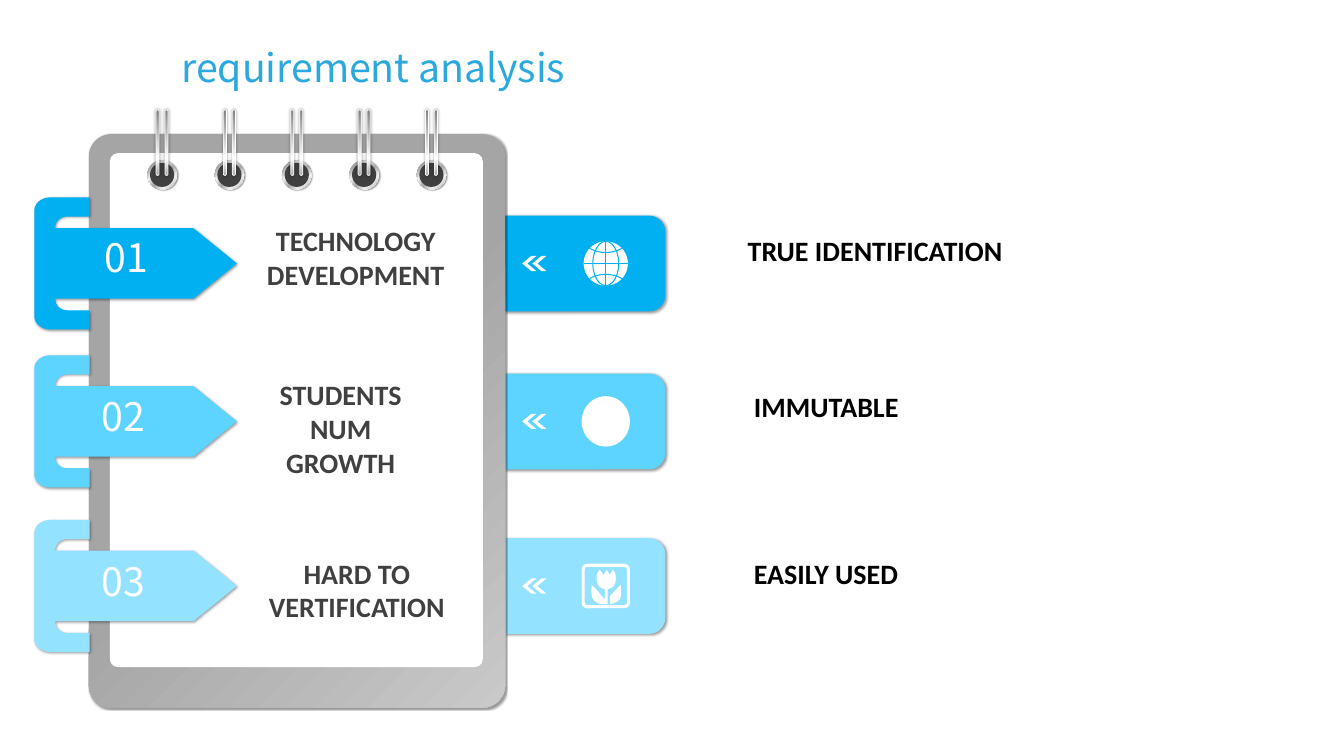
from dataclasses import dataclass
from typing import Callable, Optional

from lxml.etree import SubElement
from pptx import Presentation
from pptx.dml.color import RGBColor
from pptx.enum.shapes import MSO_CONNECTOR, MSO_SHAPE
from pptx.enum.text import PP_ALIGN
from pptx.oxml import parse_xml
from pptx.oxml.ns import nsdecls, qn
from pptx.util import Pt


@dataclass(frozen=True)
class Theme:
    title: str = "2BA8DD"
    ink: str = "000000"
    gray: str = "404040"
    white: str = "FFFFFF"
    tints: tuple = ("00B0F0", "5DD4FF", "93E2FF")
    board: tuple = ((0, "C9C9C9"), (50, "A5A5A5"), (100, "A5A5A5"))
    ring: tuple = ((0, "FFFFFF"), (17, "A6A6A6"), (35, "F2F2F2"),
                   (55, "A6A6A6"), (75, "F2F2F2"), (100, "A6A6A6"))
    rod: tuple = ((0, "808080"), (23, "A6A6A6"), (52, "D9D9D9"),
                  (74, "FFFFFF"), (100, "A6A6A6"))
    sans: str = "Noto Sans CJK SC"
    body: str = "Calibri"
    large: int = 28
    small: int = 20


@dataclass(frozen=True)
class Box:
    left: float
    top: float
    width: float
    height: float


@dataclass(frozen=True)
class Shade:
    blur: float
    gap: float
    angle: int = 45
    color: str = "000000"


@dataclass(frozen=True)
class Row:
    mid: float
    tint: str
    mark: str
    spot: Box
    task: str
    area: Box
    goal: str
    place: Box
    icon: Callable


LOOK = Theme()
SOFT = Shade(2, 1)
THIN = Shade(1, 1)
CLIP = [(36, -47.2), (64.1, -47.2), (64.1, -33.5), (48.2, -33.5),
        (43.2, -33.5, 39.6, -29.9, 39.6, -26.3), (39.6, -25.2),
        (138.2, -25.2), (169.2, 0), (138.2, 25.2), (39.6, 25.2),
        (39.6, 26.3), (39.6, 29.9, 43.2, 33.5, 48.2, 33.5),
        (64.1, 33.5), (64.1, 47.2), (36, 47.2),
        (29.5, 47.2, 24.5, 42.8, 24.5, 37.8), (24.5, -37.8),
        (24.5, -42.8, 29.5, -47.2, 36, -47.2)]
TULIP = [(0.7, -11.5), (-1.4, -7.9), (-4.3, -11.5),
         (-5.8, -10.1, -6.5, -8.6, -6.5, -5.8),
         (-6.5, -1.4, -5, 1.4, -0.7, 2.2), (-0.7, 9.4),
         (-4.3, 5.8, -6.5, 2.2, -10.1, -0.7),
         (-10.1, 2.2, -10.8, 7.2, -8.6, 10.1),
         (-6.5, 13, -2.2, 13, 1.4, 13), (1.4, 2.2),
         (5.8, 1.4, 7.2, -1.4, 7.2, -5.8),
         (7.2, -8.6, 6.5, -10.1, 5, -11.5), (2.9, -7.9)]
LEAF = [(10.8, -0.7), (7.9, 1.4, 5.8, 4.3, 2.9, 7.2), (2.9, 13),
        (6.5, 12.2, 7.9, 11.5, 10.1, 9.4),
        (11.5, 6.5, 10.8, 2.2, 10.8, -0.7)]

deck = Presentation()
deck.slide_width, deck.slide_height = Pt(960), Pt(540)
slide = deck.slides.add_slide(deck.slide_layouts[6])
shapes = slide.shapes


def dress(shape, fill: Optional[str], line: Optional[str] = None,
          size: float = 0, shade: Optional[Shade] = None):
    if fill:
        shape.fill.solid()
        shape.fill.fore_color.rgb = RGBColor.from_string(fill)
    else:
        shape.fill.background()
    if line:
        shape.line.color.rgb = RGBColor.from_string(line)
        shape.line.width = Pt(size)
    else:
        shape.line.fill.background()
    shape.shadow.inherit = False
    if shade:
        list_el = shape._element.spPr.find(qn("a:effectLst"))
        cast = SubElement(list_el, qn("a:outerShdw"), blurRad=str(Pt(shade.blur)),
                          dist=str(Pt(shade.gap)), dir=str(shade.angle * 60000),
                          algn="tl", rotWithShape="0")
        tone = SubElement(cast, qn("a:srgbClr"), val=shade.color)
        SubElement(tone, qn("a:alpha"), val="40000")
    return shape


def blend(shape, stops: tuple, angle: Optional[int] = None) -> None:
    steps = "".join(f'<a:gs pos="{at * 1000}"><a:srgbClr val="{tone}"/></a:gs>'
                    for at, tone in stops)
    if angle is None:
        way = '<a:path path="circle"><a:fillToRect l="100000" t="100000"/></a:path>'
    else:
        way = f'<a:lin ang="{angle * 60000}" scaled="0"/>'
    props = shape._element.spPr
    fill = parse_xml(f'<a:gradFill {nsdecls("a")} rotWithShape="1">'
                     f'<a:gsLst>{steps}</a:gsLst>{way}</a:gradFill>')
    props.replace(props.find(qn("a:solidFill")), fill)


def form(kind: MSO_SHAPE, box: Box, fill: Optional[str], bend: Optional[float] = None,
         **style):
    shape = shapes.add_shape(kind, Pt(box.left), Pt(box.top), Pt(box.width), Pt(box.height))
    if bend is not None:
        shape.adjustments[0] = bend
    return dress(shape, fill, **style)


def disc(x: float, y: float, wide: float, high: float, fill: Optional[str], **style):
    return form(MSO_SHAPE.OVAL, Box(x - wide / 2, y - high / 2, wide, high), fill, **style)


def trace(steps: list, x: float, y: float, fill: Optional[str], **style):
    dots = []
    for step in steps:
        if len(step) == 2:
            dots.append(step)
            continue
        curve = [dots[-1], step[:2], step[2:4], step[4:]]
        for part in range(1, 9):
            t = part / 8
            pull = ((1 - t) ** 3, 3 * t * (1 - t) ** 2, 3 * t * t * (1 - t), t ** 3)
            dots.append(tuple(sum(p * c[k] for p, c in zip(pull, curve)) for k in (0, 1)))
    spots = [(Pt(x + a), Pt(y + b)) for a, b in dots]
    pen = shapes.build_freeform(*spots[0])
    pen.add_line_segments(spots[1:], close=fill is not None)
    return dress(pen.convert_to_shape(), fill, **style)


def write(text: str, box: Box, size: int, font: str, color: str, bold: bool = False,
          center: bool = False, wrap: bool = True) -> None:
    frame = shapes.add_textbox(Pt(box.left), Pt(box.top), Pt(box.width),
                               Pt(box.height)).text_frame
    frame.word_wrap = wrap
    frame.text = text
    para = frame.paragraphs[0]
    para.alignment = PP_ALIGN.CENTER if center else PP_ALIGN.LEFT
    face = para.runs[0].font
    face.size, face.name, face.bold = Pt(size), font, bold
    face.color.rgb = RGBColor.from_string(color)


def globe(x: float, y: float, tint: str) -> None:
    r = 15.8
    disc(x, y, 2 * r, 2 * r, LOOK.white)
    disc(x, y, 18.5, 2 * r, None, line=tint, size=0.75)
    for a, b in ((r, 0), (0, r)):
        rule = shapes.add_connector(MSO_CONNECTOR.STRAIGHT, Pt(x - a), Pt(y - b),
                                    Pt(x + a), Pt(y + b))
        rule.line.color.rgb = RGBColor.from_string(tint)
        rule.line.width = Pt(0.75)
        SubElement(rule._element.spPr, qn("a:effectLst"))
    for side in (-1, 1):
        trace([(-11.5, 10.8 * side), (-5, 6.8 * side, 5, 6.8 * side, 11.5, 10.8 * side)],
              x, y, None, line=tint, size=0.75)


def plain(x: float, y: float, tint: str) -> None:
    disc(x, y, 34.5, 36, LOOK.white)


def flower(x: float, y: float, tint: str) -> None:
    form(MSO_SHAPE.ROUNDED_RECTANGLE, Box(x - 16.2, y - 14.8, 32.4, 29.6), None,
         bend=0.1, line=LOOK.white, size=2.2)
    for steps in (TULIP, LEAF):
        trace(steps, x, y, LOOK.white)


ROWS = [
    Row(188.2, LOOK.tints[0], "01", Box(67.7, 163.4, 56.9, 41),
        "TECHNOLOGY DEVELOPMENT", Box(159.8, 156.2, 188.6, 55.4),
        "TRUE IDENTIFICATION", Box(527, 163.4, 230.4, 31.7), globe),
    Row(301, LOOK.tints[1], "02", Box(65.5, 276.5, 56.9, 41),
        "STUDENTS NUM GROWTH", Box(190.8, 266.4, 105.1, 79.9),
        "IMMUTABLE", Box(531.4, 275, 169.9, 31.7), plain),
    Row(418.6, LOOK.tints[2], "03", Box(65.5, 394.6, 56.9, 41),
        "HARD TO VERTIFICATION", Box(182.9, 393.8, 144, 55.4),
        "EASILY USED", Box(531.4, 393.8, 169.9, 31.7), flower),
]

for row in ROWS:
    tab = form(MSO_SHAPE.ROUND_2_SAME_RECTANGLE,
               Box(383.8, row.mid - 57.2, 68.4, 114.4), row.tint, shade=SOFT)
    tab.rotation = 90

board = form(MSO_SHAPE.ROUNDED_RECTANGLE, Box(63.4, 95.8, 297.4, 409.7),
             LOOK.white, bend=0.054, shade=THIN)
blend(board, LOOK.board)
form(MSO_SHAPE.ROUNDED_RECTANGLE, Box(78.5, 109.4, 266.4, 367.2), LOOK.white, bend=0.022)

for turn in range(5):
    mid = 115.8 + 48.1 * turn
    blend(disc(mid, 124.9, 20.9, 20.9, LOOK.white, shade=THIN), LOOK.ring, 45)
    disc(mid, 124.9, 17.3, 17.3, LOOK.gray)
    for side in (-3.2, 3.2):
        rod = form(MSO_SHAPE.ROUNDED_RECTANGLE, Box(mid + side - 1.1, 78.5, 2.2, 46.8),
                   LOOK.white, bend=0.5, line=LOOK.white, size=0.5, shade=Shade(2, 0, 0))
        blend(rod, LOOK.rod, 90)

for row in ROWS:
    trace(CLIP, 0, row.mid, row.tint, shade=SOFT)
    write(row.mark, row.spot, LOOK.large, LOOK.sans, LOOK.white)
    for left in (373, 380.2):
        arrow = form(MSO_SHAPE.CHEVRON, Box(left, row.mid - 5.4, 10.1, 10.8),
                     LOOK.white, bend=0.646)
        arrow.rotation = 180
    row.icon(432.7, row.mid, row.tint)
    write(row.task, row.area, LOOK.small, LOOK.body, LOOK.gray, bold=True, center=True)
    write(row.goal, row.place, LOOK.small, LOOK.body, LOOK.ink, bold=True)

write("requirement analysis", Box(122.4, 27.4, 291.6, 41), LOOK.large, LOOK.sans,
      LOOK.title, wrap=False)

deck.save("out.pptx")
